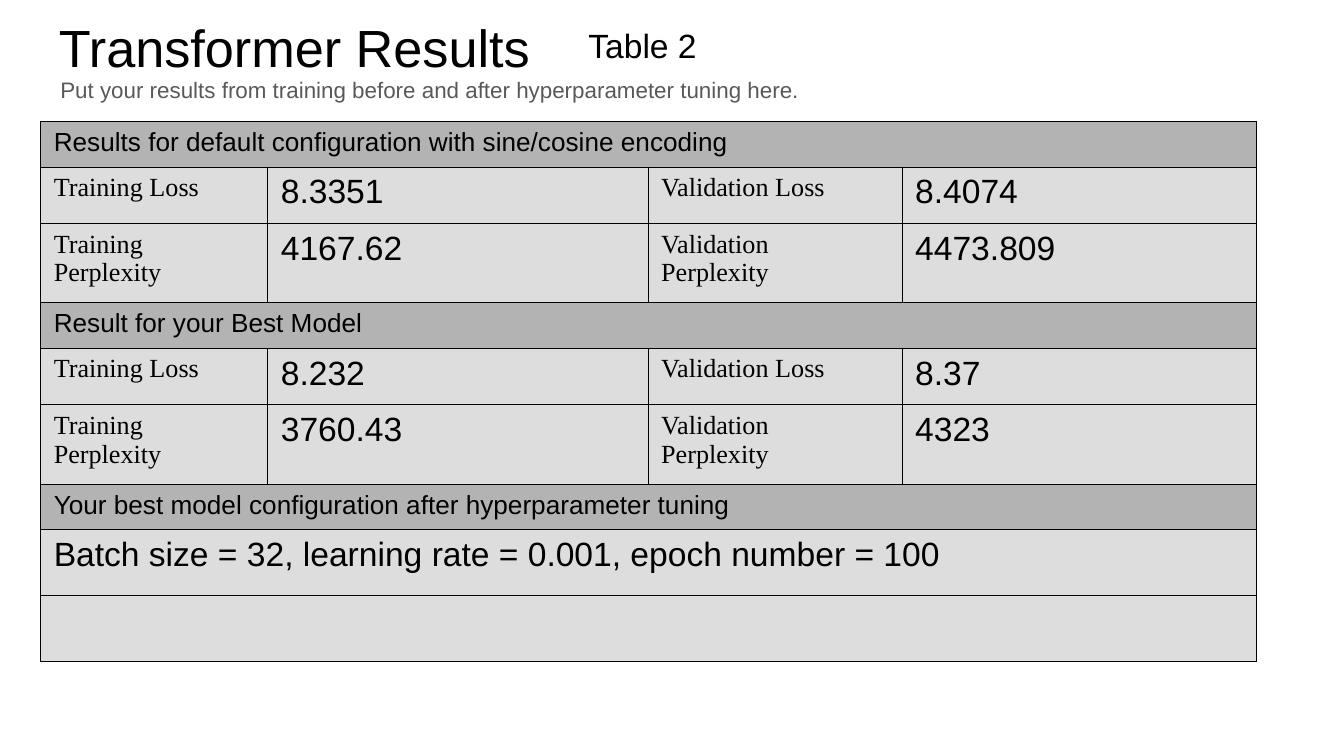
from dataclasses import dataclass

from lxml import etree
from pptx import Presentation
from pptx.dml.color import RGBColor
from pptx.enum.text import MSO_ANCHOR
from pptx.oxml.ns import qn
from pptx.util import Inches, Pt

TOP = MSO_ANCHOR.TOP


@dataclass(frozen=True)
class Theme:
    """Colours, fonts and type sizes of the slide."""
    ink: str = "000000"
    muted: str = "595959"
    band: str = "B3B3B3"
    body: str = "DDDDDD"
    sans: str = "Arial"
    serif: str = "Times New Roman"
    title: int = 28
    value: int = 18
    label: int = 14
    note: int = 12
    border: float = 0.06


THEME = Theme()
COLUMNS = (1.69, 2.83, 1.89, 2.64)
ROW_HEIGHTS = {"band": 0.34, "Loss": 0.42, "Perplexity": 0.59, "text": 0.49}
ROWS = (
    ("band", ("Results for default configuration with sine/cosine encoding",)),
    ("Loss", ("8.3351", "8.4074")),
    ("Perplexity", ("4167.62", "4473.809")),
    ("band", ("Result for your Best Model",)),
    ("Loss", ("8.232", "8.37")),
    ("Perplexity", ("3760.43", "4323")),
    ("band", ("Your best model configuration after hyperparameter tuning",)),
    ("text", ("Batch size = 32, learning rate = 0.001, epoch number = 100",)),
    ("text", ("",)),
)


def add_run(p, text, size, color=THEME.ink, font=THEME.sans):
    """Append a styled run to a paragraph."""
    r = p.add_run()
    r.text = text
    r.font.size = Pt(size)
    r.font.name = font
    r.font.color.rgb = RGBColor.from_string(color)


def add_text(s, box, text, size, color=THEME.ink, inset=0.05):
    """Add a one-line text box."""
    tf = s.shapes.add_textbox(*map(Inches, box)).text_frame
    tf.word_wrap = True
    tf.vertical_anchor = TOP
    tf.margin_left = tf.margin_right = Inches(0.1)
    tf.margin_top = tf.margin_bottom = Inches(inset)
    add_run(tf.paragraphs[0], text, size, color)


def set_borders(cell):
    """Draw a hairline on all four sides of a cell."""
    tc_pr = cell._tc.get_or_add_tcPr()
    for i, side in enumerate(("a:lnL", "a:lnR", "a:lnT", "a:lnB")):
        ln = etree.Element(qn(side), w=str(Pt(THEME.border)))
        fill = etree.SubElement(ln, qn("a:solidFill"))
        etree.SubElement(fill, qn("a:srgbClr"), val=THEME.ink)
        tc_pr.insert(i, ln)


def fill_cell(cell, text, size, font=THEME.sans, right=0.1):
    """Write the text of a cell."""
    cell.margin_left, cell.margin_right = Inches(0.1), Inches(right)
    cell.margin_top = cell.margin_bottom = Inches(0.05)
    if text:
        add_run(cell.text_frame.paragraphs[0], text, size, font=font)


def add_wide_row(table, row, kind, text):
    """Fill a row that spans the whole table."""
    cell = table.cell(row, 0)
    cell.merge(table.cell(row, len(COLUMNS) - 1))
    fill_cell(cell, text, THEME.label if kind == "band" else THEME.value)


def add_metric_row(table, row, metric, values):
    """Fill a row with the training and validation values of a metric."""
    for i, (phase, value) in enumerate(zip(("Training", "Validation"), values)):
        fill_cell(table.cell(row, 2 * i), f"{phase} {metric}", THEME.label,
                  THEME.serif, right=0.2)
        fill_cell(table.cell(row, 2 * i + 1), value, THEME.value)


def add_results(s, left, top):
    """Add the results table."""
    heights = [ROW_HEIGHTS[kind] for kind, _ in ROWS]
    box = (left, top, sum(COLUMNS), sum(heights))
    table = s.shapes.add_table(len(ROWS), len(COLUMNS), *map(Inches, box)).table
    table.first_row = table.horz_banding = False
    for column, width in zip(table.columns, COLUMNS):
        column.width = Inches(width)
    for i, (kind, texts) in enumerate(ROWS):
        table.rows[i].height = Inches(heights[i])
        for cell in table.rows[i].cells:
            cell.fill.solid()
            color = THEME.band if kind == "band" else THEME.body
            cell.fill.fore_color.rgb = RGBColor.from_string(color)
            set_borders(cell)
        if len(texts) == 1:
            add_wide_row(table, i, kind, texts[0])
        else:
            add_metric_row(table, i, kind, texts)


def main():
    """Build and save the slide."""
    prs = Presentation()
    prs.slide_width = Inches(10)
    prs.slide_height = prs.slide_width * 9 // 16
    s = prs.slides.add_slide(prs.slide_layouts[6])
    add_text(s, (0.34, 0.01, 9.32, 0.62), "Transformer Results", THEME.title,
             inset=0.1)
    add_results(s, 0.3, 0.9)
    add_text(s, (0.35, 0.52, 8.51, 0.38),
             "Put your results from training before and after hyperparameter tuning here.",
             THEME.note, THEME.muted)
    add_text(s, (4.28, 0.14, 1.1, 0.4), "Table 2", THEME.value)
    prs.save("out.pptx")


if __name__ == "__main__":
    main()
